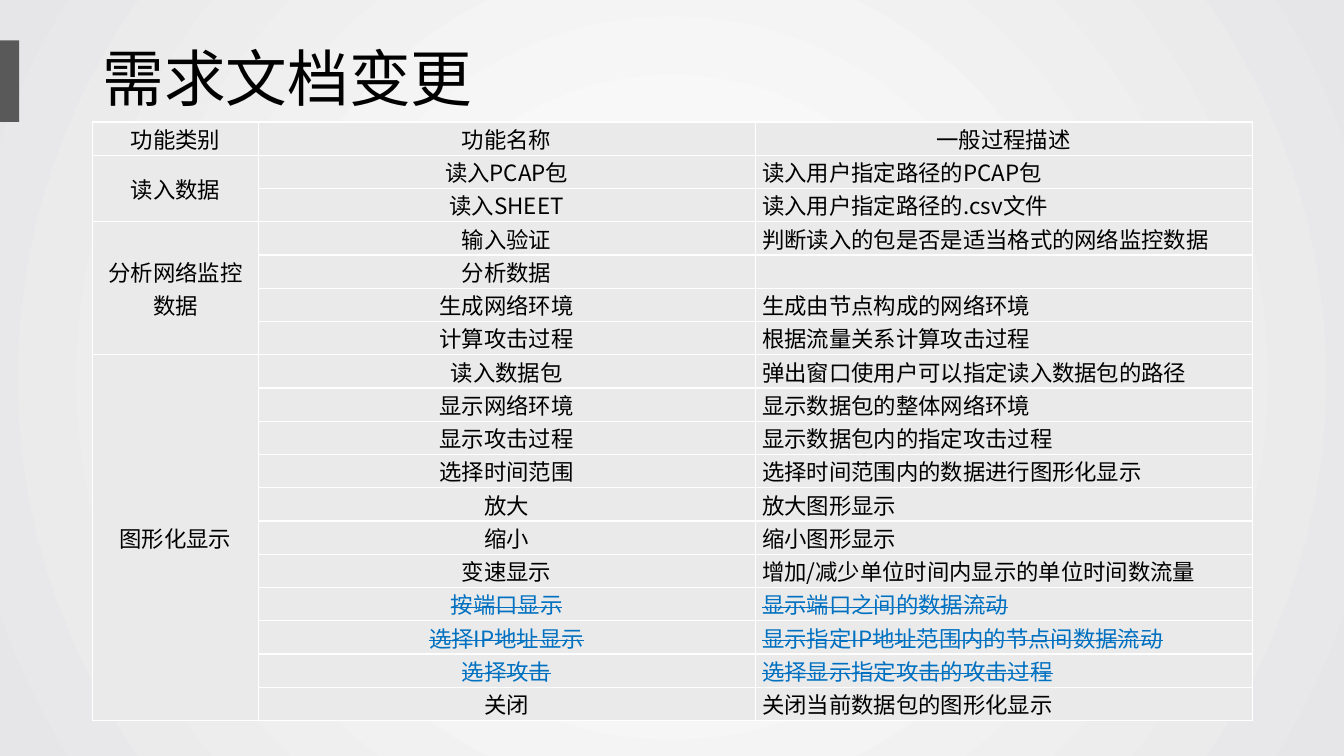
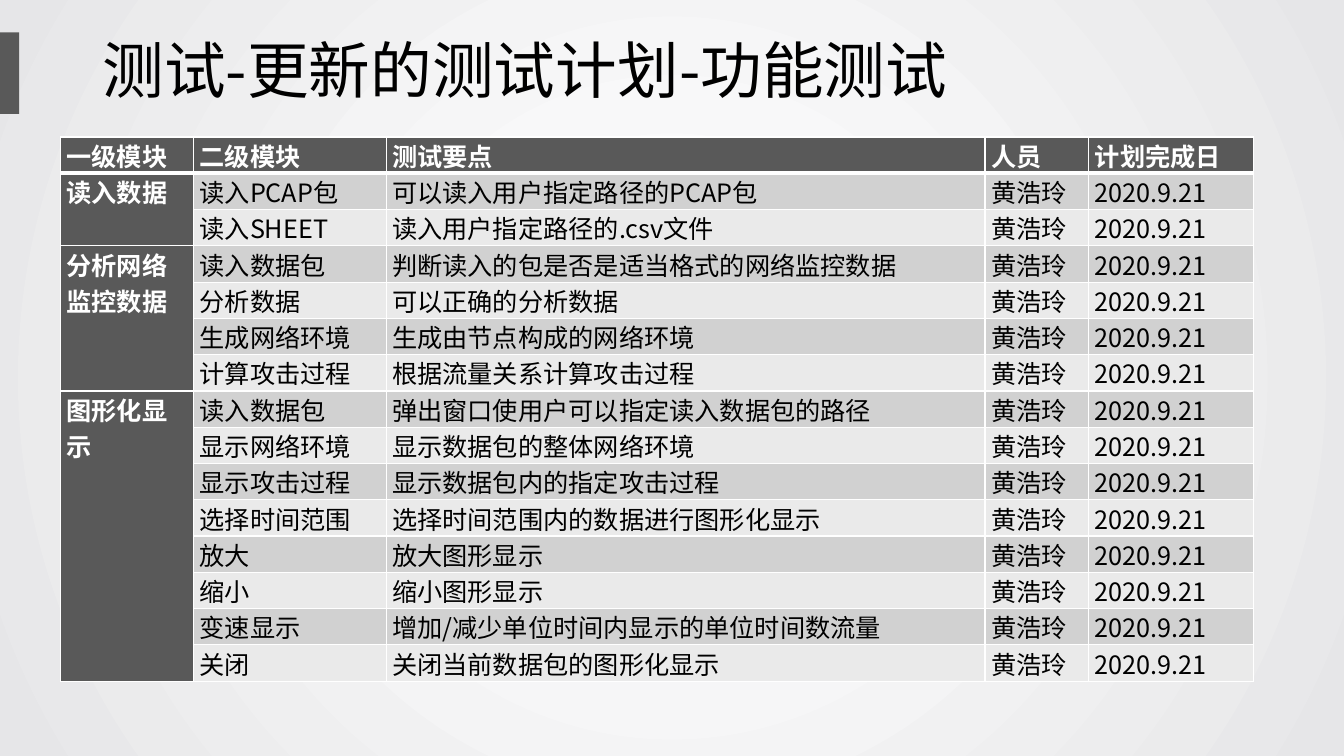
from lxml.etree import SubElement
from pptx import Presentation
from pptx.dml.color import RGBColor
from pptx.enum.shapes import MSO_SHAPE
from pptx.enum.text import MSO_ANCHOR as Anchor, PP_ALIGN as Align
from pptx.oxml.ns import qn
from pptx.util import Inches, Pt

FONT = "Noto Sans CJK SC"
BLACK = RGBColor(0x00, 0x00, 0x00)
WHITE = RGBColor(0xFF, 0xFF, 0xFF)
EDGE_GRAY = RGBColor(0xE6, 0xE6, 0xE8)
DARK_GRAY = RGBColor(0x59, 0x59, 0x59)
MID_GRAY = RGBColor(0xD1, 0xD1, 0xD1)
LIGHT_GRAY = RGBColor(0xEA, 0xEA, 0xEA)
REMOVED_BLUE = RGBColor(0x00, 0x70, 0xC0)

# Rows that both tables share
READ_SHEET = ("读入SHEET", "读入用户指定路径的.csv文件")
FORMAT_CHECK = "判断读入的包是否是适当格式的网络监控数据"
NETWORK_STEPS = [
    ("生成网络环境", "生成由节点构成的网络环境"),
    ("计算攻击过程", "根据流量关系计算攻击过程"),
]
DISPLAY_STEPS = [
    ("读入数据包", "弹出窗口使用户可以指定读入数据包的路径"),
    ("显示网络环境", "显示数据包的整体网络环境"),
    ("显示攻击过程", "显示数据包内的指定攻击过程"),
    ("选择时间范围", "选择时间范围内的数据进行图形化显示"),
    ("放大", "放大图形显示"),
    ("缩小", "缩小图形显示"),
    ("变速显示", "增加/减少单位时间内显示的单位时间数流量"),
]
REMOVED_STEPS = [
    ("按端口显示", "显示端口之间的数据流动"),
    ("选择IP地址显示", "显示指定IP地址范围内的节点间数据流动"),
    ("选择攻击", "选择显示指定攻击的攻击过程"),
]
CLOSE_STEP = ("关闭", "关闭当前数据包的图形化显示")

REQUIREMENT_HEADER = ("功能类别", "功能名称", "一般过程描述")
REQUIREMENTS = [
    ("读入数据", [("读入PCAP包", "读入用户指定路径的PCAP包"), READ_SHEET]),
    ("分析网络监控数据",
     [("输入验证", FORMAT_CHECK), ("分析数据", "")] + NETWORK_STEPS),
    ("图形化显示", DISPLAY_STEPS + REMOVED_STEPS + [CLOSE_STEP]),
]

TEST_HEADER = ("一级模块", "二级模块", "测试要点", "人员", "计划完成日")
TESTER_AND_DATE = ("黄浩玲", "2020.9.21")
TESTS = [
    ("读入数据", [("读入PCAP包", "可以读入用户指定路径的PCAP包"), READ_SHEET]),
    ("分析网络监控数据",
     [("读入数据包", FORMAT_CHECK), ("分析数据", "可以正确的分析数据")] + NETWORK_STEPS),
    ("图形化显示", DISPLAY_STEPS + [CLOSE_STEP]),
]


def requirement_style(row, column, values):
    removed = column > 0 and values in REMOVED_STEPS
    return {
        "fill": LIGHT_GRAY,
        "color": REMOVED_BLUE if removed else BLACK,
        "strike": removed,
        "align": Align.LEFT if row and column == 2 else Align.CENTER,
    }


def test_style(row, column, values):
    heading = row == 0 or column == 0
    band = MID_GRAY if row % 2 else LIGHT_GRAY
    return {
        "fill": DARK_GRAY if heading else band,
        "color": WHITE if heading else BLACK,
        "bold": heading,
        "bottom": 3 if row == 0 else 1,
        "top": 3 if row == 1 else 1,
    }


SLIDES = [
    {
        "title": "需求文档变更", "title_box": (0.4, 0.81), "band_top": 0.4,
        "header": REQUIREMENT_HEADER, "groups": REQUIREMENTS, "extra": (),
        "corner": (0.92, 1.21), "columns": (1.64, 4.93, 4.93), "row_height": 0.33,
        "size": 16, "inset": 0.07, "anchor": Anchor.MIDDLE, "style": requirement_style,
    },
    {
        "title": "测试-更新的测试计划-功能测试", "title_box": (0, 1.45), "band_top": 0.32,
        "header": TEST_HEADER, "groups": TESTS, "extra": TESTER_AND_DATE,
        "corner": (0.6, 1.36), "columns": (1.32, 1.91, 5.94, 1.03, 1.63),
        "row_height": 0.36,
        "size": 18, "inset": 0.06, "anchor": Anchor.TOP, "style": test_style,
    },
]


def set_background(master):
    """Give the master a circular gradient, white in the centre."""
    fill = master.background.fill
    fill.gradient()
    for stop, position, color in zip(fill.gradient_stops, (0.09, 1), (WHITE, EDGE_GRAY)):
        stop.position = position
        stop.color.rgb = color
    gradient = master.element.find(".//" + qn("a:gradFill"))
    gradient.remove(gradient.find(qn("a:lin")))
    circle = SubElement(gradient, qn("a:path"), {"path": "circle"})
    SubElement(circle, qn("a:fillToRect"), dict.fromkeys("ltrb", "50000"))


def write(paragraph, text, size, color, bold=False, strike=False):
    """Add one run; an empty paragraph only gets its text size."""
    if not text:
        SubElement(paragraph._p, qn("a:endParaRPr"), {"sz": str(size * 100)})
        return
    run = paragraph.add_run()
    run.text = text
    for name, value in {"size": Pt(size), "bold": bold, "name": FONT}.items():
        setattr(run.font, name, value)
    run.font.color.rgb = color
    properties = run._r.get_or_add_rPr()
    SubElement(properties, qn("a:ea"), {"typeface": FONT})
    if strike:
        properties.set("strike", "sngStrike")


def add_title(slide, text, top, height):
    box = slide.shapes.add_textbox(Inches(0.92), Inches(top), Inches(11.5), Inches(height))
    frame = box.text_frame
    frame.word_wrap = True
    frame.vertical_anchor = Anchor.MIDDLE
    paragraph = frame.paragraphs[0]
    paragraph.line_spacing = 0.9
    write(paragraph, text, 44, BLACK)


def add_band(slide, top):
    band = slide.shapes.add_shape(
        MSO_SHAPE.RECTANGLE, 0, Inches(top), Inches(0.19), Inches(0.81))
    band.shadow.inherit = False
    band.fill.solid()
    band.fill.fore_color.rgb = DARK_GRAY
    band.line.fill.background()


def add_borders(cell, top, bottom):
    properties = cell._tc.get_or_add_tcPr()
    for side, width in (("L", 1), ("R", 1), ("T", top), ("B", bottom)):
        line = SubElement(properties, qn("a:ln" + side), {"w": str(Pt(width))})
        solid = SubElement(line, qn("a:solidFill"))
        SubElement(solid, qn("a:srgbClr"), {"val": str(WHITE)})


def fill_cell(cell, text, content, fill, color, align=Align.LEFT,
              bold=False, strike=False, top=1, bottom=1):
    add_borders(cell, top, bottom)
    cell.fill.solid()
    cell.fill.fore_color.rgb = fill
    inset = Inches(content["inset"])
    layout = {"margin_left": inset, "margin_right": inset, "margin_top": 0,
              "margin_bottom": 0, "vertical_anchor": content["anchor"]}
    for name, value in layout.items():
        setattr(cell, name, value)
    paragraph = cell.text_frame.paragraphs[0]
    paragraph.alignment = align
    write(paragraph, text, content["size"], color, bold, strike)


def add_grouped_table(slide, content):
    """Draw a header row, then groups whose first column is merged."""
    rows = [content["header"]]
    spans = []
    for category, steps in content["groups"]:
        spans.append((len(rows), len(rows) + len(steps) - 1))
        for index, step in enumerate(steps):
            rows.append(("" if index else category, *step, *content["extra"]))

    left, top = content["corner"]
    columns, row_height = content["columns"], content["row_height"]
    table = slide.shapes.add_table(
        len(rows), len(columns), Inches(left), Inches(top),
        Inches(sum(columns)), Inches(row_height * len(rows))).table
    table.first_row = table.horz_banding = False
    for column, width in zip(table.columns, columns):
        column.width = Inches(width)
    for row in table.rows:
        row.height = Inches(row_height)
    for row, values in enumerate(rows):
        for column, text in enumerate(values):
            style = content["style"](row, column, values[1:])
            fill_cell(table.cell(row, column), text, content, **style)
    for first, last in spans:
        table.cell(first, 0).merge(table.cell(last, 0))


def main():
    presentation = Presentation()
    presentation.slide_width = Inches(13.33)
    presentation.slide_height = Inches(7.5)
    set_background(presentation.slide_master)
    for content in SLIDES:
        slide = presentation.slides.add_slide(presentation.slide_layouts[6])
        add_title(slide, content["title"], *content["title_box"])
        add_grouped_table(slide, content)
        add_band(slide, content["band_top"])
    presentation.save("out.pptx")


if __name__ == "__main__":
    main()
